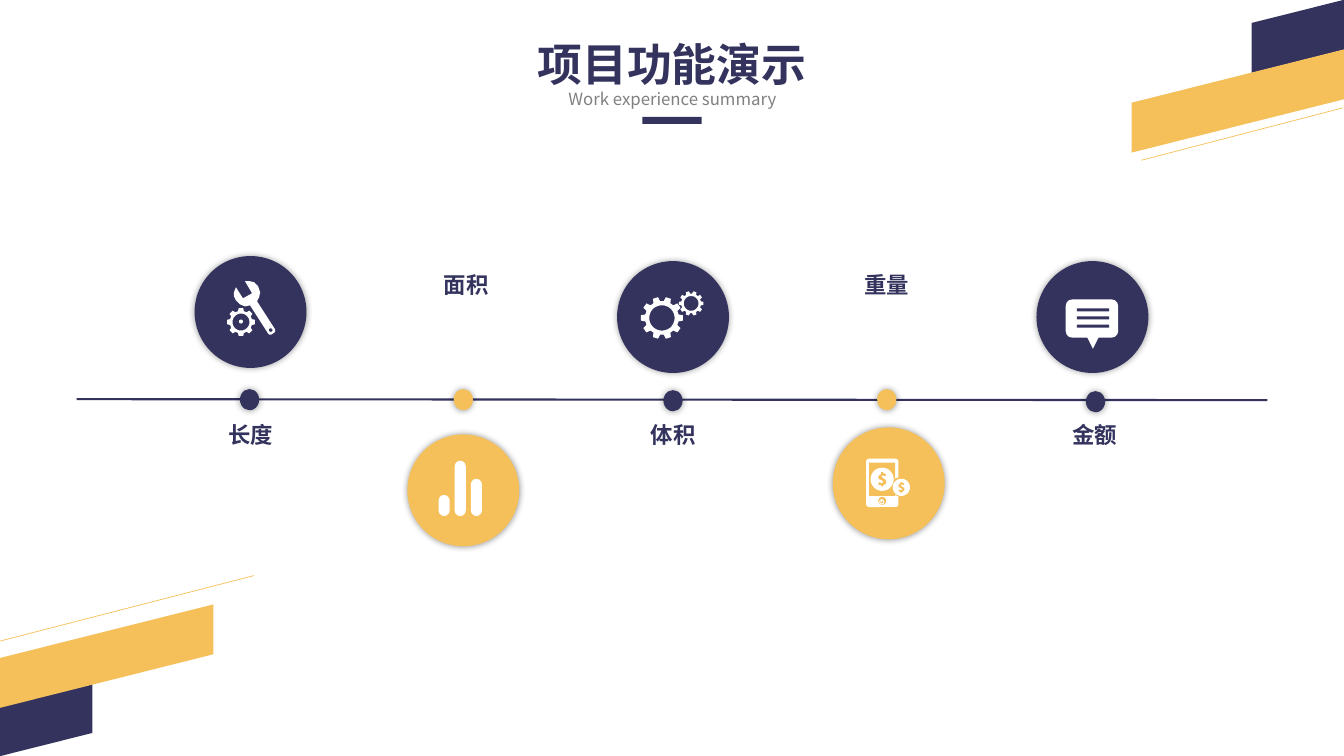
from math import cos, pi, sin

from pptx import Presentation
from pptx import util as u
from pptx.dml.color import RGBColor
from pptx.enum import shapes, text
from pptx.oxml import parse_xml
from pptx.oxml.ns import nsdecls, qn

PX = 9144  # EMU in one px, 100 px to the inch
NAVY = RGBColor(0x33, 0x33, 0x5E)
GOLD = RGBColor(0xF5, 0xC0, 0x59)
GREY = RGBColor(0x80, 0x80, 0x80)
WHITE = RGBColor(0xFF, 0xFF, 0xFF)
FONT = "Noto Sans CJK SC"
KIND = shapes.MSO_SHAPE
OVAL, RECT, ROUND = KIND.OVAL, KIND.RECTANGLE, KIND.ROUNDED_RECTANGLE

# label, its box, dot place, disc place, colour
STEPS = [
    ("长度", (216, 413, 65, 37), (238, 386), (193, 254), NAVY),
    ("面积", (430, 264, 65, 37), (450, 386), (404, 431), GOLD),
    ("体积", (635, 413, 65, 37), (658, 387), (612, 259), NAVY),
    ("重量", (847, 264, 65, 37), (870, 386), (826, 424), GOLD),
    ("金额", (1052, 413, 67, 37), (1077, 388), (1028, 259), NAVY),
]
WRENCH = [
    (273, 327), (255, 299), (257, 295), (258, 290), (256, 284), (252, 280),
    (248, 279), (243, 279), (250, 291), (241, 296), (234, 285), (232, 290),
    (232, 294), (234, 298), (238, 302), (243, 304), (248, 303), (266, 331),
    (267, 332), (269, 332), (272, 330), (273, 329),
]
# offsets from the middle of a coin
DOLLAR = [
    (1, 6), (1, 7), (-1, 7), (-1, 6), (-4, 5), (-3, 3), (0, 4), (1, 3),
    (0, 1), (-3, 0), (-4, -2), (-3, -4), (-1, -5), (-1, -7), (1, -7),
    (1, -6), (4, -5), (3, -3), (1, -4), (-1, -3), (1, -1), (4, 1), (4, 4),
]


def paint(shape, fill):
    shape.fill.solid()
    shape.fill.fore_color.rgb = fill
    shape.line.fill.background()
    shape.shadow.inherit = False
    return shape


def add(tree, kind, box, fill, adj=None, turn=0):
    shape = paint(tree.add_shape(kind, *(n * PX for n in box)), fill)
    shape.rotation = turn
    if adj is not None:
        shape.adjustments[0] = adj
    return shape


def glow(shape):
    """Give the shape a soft shadow on all sides."""
    shape._element.spPr.find(qn("a:effectLst")).append(parse_xml(
        f'<a:outerShdw {nsdecls("a")} blurRad="63500" dist="0" '
        'algn="ctr" rotWithShape="0"><a:srgbClr val="000000">'
        '<a:alpha val="40000"/></a:srgbClr></a:outerShdw>'))


def rule(tree, ends, fill, width):
    line = tree.add_connector(
        shapes.MSO_CONNECTOR.STRAIGHT, *(n * PX for n in ends))
    line.line.color.rgb = fill
    line.line.width = u.Pt(width)
    line._element.spPr.append(parse_xml(f'<a:effectLst {nsdecls("a")}/>'))


def write(tree, words, box, size, color, bold=False, wrap=False):
    frame = tree.add_textbox(*(n * PX for n in box)).text_frame
    frame.word_wrap = wrap
    frame.auto_size = text.MSO_AUTO_SIZE.SHAPE_TO_FIT_TEXT
    para = frame.paragraphs[0]
    para.alignment = text.PP_ALIGN.CENTER
    run = para.add_run()
    run.text = words
    form = {"size": u.Pt(size), "bold": bold, "name": FONT}
    for key, value in form.items():
        setattr(run.font, key, value)
    run.font.color.rgb = color
    run._r.get_or_add_rPr().append(
        parse_xml(f'<a:ea {nsdecls("a")} typeface="{FONT}"/>'))


def trace(tree, fill, *loops):
    """Draw closed loops as one shape; an inner loop is a hole."""
    fine = [[(x * 10, y * 10) for x, y in loop] for loop in loops]
    pen = tree.build_freeform(*fine[0][0], scale=PX / 10)
    for i, loop in enumerate(fine):
        if i:
            pen.move_to(*loop[0])
        pen.add_line_segments(loop[1:], close=True)
    paint(pen.convert_to_shape(), fill)


def polar(x, y, radius, angle):
    return x + radius * cos(angle), y + radius * sin(angle)


def ring(x, y, radius):
    return [polar(x, y, radius, i * pi / 18) for i in range(36)]


def gear(tree, x, y, radius, teeth):
    pitch = 2 * pi / teeth
    tooth = [(-0.33, 0.8), (-0.2, 1), (0.2, 1), (0.33, 0.8)]
    rim = [polar(x, y, radius * size, (i + turn) * pitch)
           for i in range(teeth) for turn, size in tooth]
    trace(tree, WHITE, rim, ring(x, y, radius * 0.6))


def tools(tree):
    trace(tree, WHITE, WRENCH, ring(268.5, 327.5, 1.8))
    gear(tree, 239, 319.5, 14, 8)
    add(tree, OVAL, (237, 317, 4, 4), WHITE)


def bars(tree):
    for x, y in [(435, 491), (451, 457), (467, 475)]:
        add(tree, ROUND, (x, y, 11, 512 - y), WHITE, 0.5)


def gears(tree):
    gear(tree, 656.5, 315.5, 21, 10)
    gear(tree, 685.5, 301, 12.2, 10)


def coin(tree, x, y, radius, scale):
    trace(tree, WHITE, ring(x, y, radius))
    trace(tree, GOLD, [(x + a * scale, y + b * scale) for a, b in DOLLAR])


def phone(tree):
    add(tree, ROUND, (859, 455, 32, 48), WHITE, 0.09)
    add(tree, RECT, (862, 459, 26, 33), GOLD)
    add(tree, OVAL, (871, 493, 8, 8), GOLD)
    trace(tree, WHITE, ring(874.5, 498, 2.5), ring(874.5, 498, 1.5))
    add(tree, RECT, (874, 495, 1, 3), WHITE)
    add(tree, OVAL, (884, 473, 20, 20), GOLD)
    coin(tree, 875, 475.5, 11.5, 1)
    coin(tree, 894, 483.5, 8.5, 0.75)


def chat(tree):
    trace(tree, WHITE, [(1077, 332), (1091, 332), (1084, 346)])
    add(tree, ROUND, (1057, 297, 52, 38), WHITE, 0.17)
    for i in range(3):
        add(tree, RECT, (1068, 306 + 8 * i, 32, 3), NAVY)


def corners(tree):
    for x, y, width, fill in [(-8, 690, 107, NAVY), (-10, 627, 231, GOLD),
                              (1234, 12, 107, NAVY), (1113, 76, 231, GOLD)]:
        add(tree, KIND.PARALLELOGRAM, (x, y, width, 48), fill, turn=345.9)
    rule(tree, (0, 636, 252, 571), GOLD, 0.5)
    rule(tree, (1132, 159, 1332, 107), GOLD, 0.5)


def main():
    deck = Presentation()
    deck.slide_width, deck.slide_height = 1333 * PX, 750 * PX
    tree = deck.slides.add_slide(deck.slide_layouts[6]).shapes
    corners(tree)
    write(tree, "项目功能演示", (522, 32, 289, 64), 32, NAVY, bold=True)
    write(tree, "Work experience summary", (450, 83, 434, 30), 12, GREY,
          wrap=True)
    add(tree, RECT, (637, 116, 59, 7), NAVY)
    rule(tree, (76, 396, 1257, 397), NAVY, 1.5)
    icons = [tools, bars, gears, phone, chat]
    for (label, box, dot, disc, fill), icon in zip(STEPS, icons):
        glow(add(tree, OVAL, (*dot, 19, 21), fill))
        glow(add(tree, OVAL, (*disc, 111, 111), fill))
        icon(tree)
        write(tree, label, box, 16, NAVY, bold=True)
    deck.save("out.pptx")


if __name__ == "__main__":
    main()
